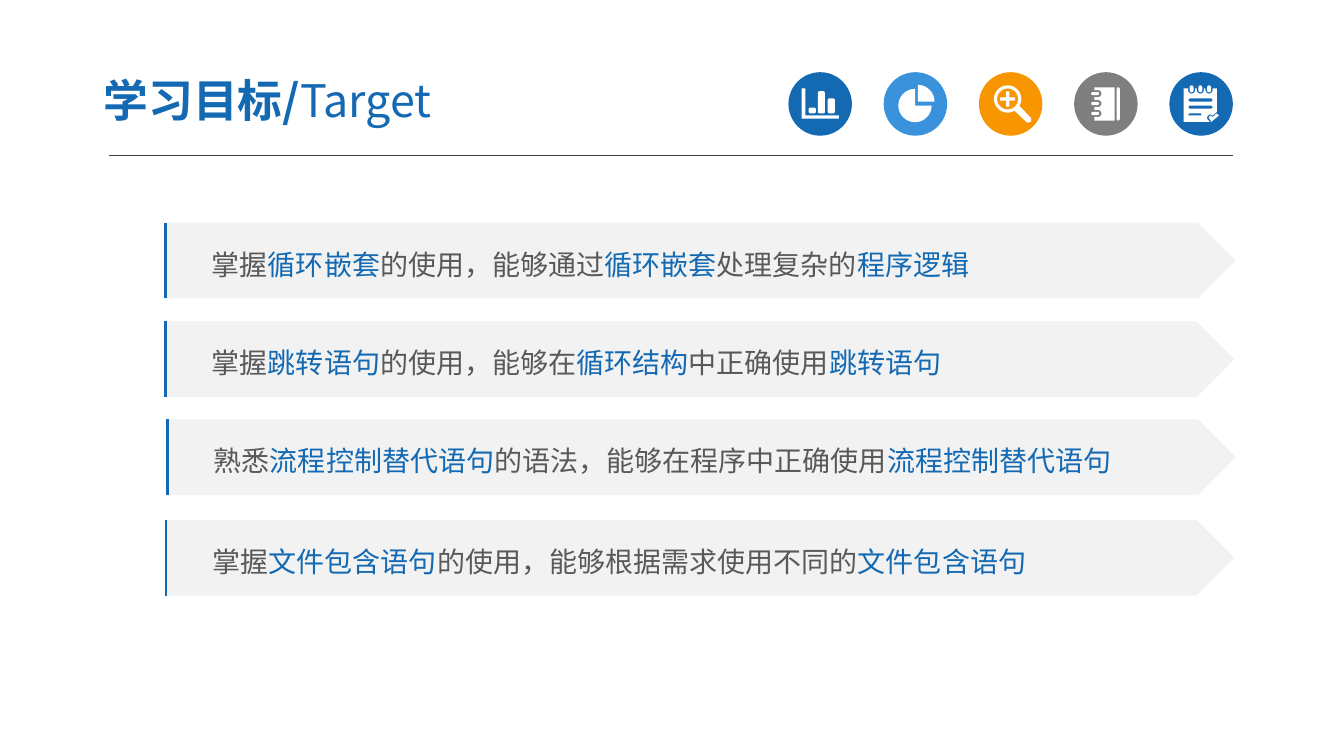
from math import cos, radians, sin

from pptx import Presentation
from pptx.dml.color import RGBColor
from pptx.enum.shapes import MSO_CONNECTOR, MSO_SHAPE
from pptx.enum.text import MSO_ANCHOR, PP_ALIGN
from pptx.oxml.ns import qn
from pptx.util import Cm, Pt

BLUE = RGBColor(0x13, 0x69, 0xB2)
SKY = RGBColor(0x39, 0x92, 0xDB)
ORANGE = RGBColor(0xF7, 0x96, 0x00)
GREY = RGBColor(0x7F, 0x7F, 0x7F)
COAL = RGBColor(0x40, 0x40, 0x40)
PALE = RGBColor(0xF2, 0xF2, 0xF2)
DARK = RGBColor(0x59, 0x59, 0x59)
WHITE = RGBColor(0xFF, 0xFF, 0xFF)

FONT = "Noto Sans CJK SC"
MIDDLE, LEFT = MSO_ANCHOR.MIDDLE, PP_ALIGN.LEFT
STRAIGHT = MSO_CONNECTOR.STRAIGHT
OVAL, ARROW = MSO_SHAPE.OVAL, MSO_SHAPE.PENTAGON

DISC, STEP = 1.6, 2.4

# left, top, width and text of each goal; every second part is stressed
GOALS = [
    (4.14, 5.61, 27, ["掌握", "循环嵌套", "的使用，能够通过", "循环嵌套", "处理复杂的", "程序逻辑"]),
    (4.14, 8.1, 26.97, ["掌握", "跳转语句", "的使用，能够在", "循环结构", "中正确使用", "跳转语句"]),
    (4.19, 10.57, 26.95, ["熟悉", "流程控制替代语句", "的语法，能够在程序中正确使用", "流程控制替代语句"]),
    (4.16, 13.1, 26.95, ["掌握", "文件包含语句", "的使用，能够根据需求使用不同的", "文件包含语句"]),
]


def paint(shape, color):
    """Give a shape a plain fill with neither line nor shadow."""
    shape.shadow.inherit = False
    shape.fill.solid()
    shape.fill.fore_color.rgb = color
    shape.line.fill.background()
    return shape


def add(slide, kind, x, y, w, h, color):
    return paint(slide.shapes.add_shape(kind, Cm(x), Cm(y), Cm(w), Cm(h)), color)


def rule(slide, x1, y1, x2, y2, color, width):
    line = slide.shapes.add_connector(STRAIGHT, Cm(x1), Cm(y1), Cm(x2), Cm(y2))
    line.line.color.rgb = color
    line.line.width = Pt(width)
    props = line._element.spPr
    props.append(props.makeelement(qn("a:effectLst"), {}))


def write(shape, runs, size, inset, spacing=1.0):
    """Fill a shape with one paragraph of (text, color, bold) runs."""
    frame = shape.text_frame
    frame.word_wrap = True
    frame.vertical_anchor = MIDDLE
    frame.margin_left = Cm(inset)
    para = frame.paragraphs[0]
    para.alignment = LEFT
    para.line_spacing = spacing
    for text, color, bold in runs:
        run = para.add_run()
        run.text = text
        font = run.font
        font.name, font.size, font.bold = FONT, Pt(size), bold
        font.color.rgb = color
        props = run._r.get_or_add_rPr()
        props.append(props.makeelement(qn("a:ea"), {"typeface": FONT}))


def arc(x, y, r, start, end, steps=12):
    """Return points on a circle, with degrees running clockwise from the right."""
    turns = [radians(start + (end - start) * i / steps) for i in range(steps + 1)]
    return [(x + r * cos(t), y + r * sin(t)) for t in turns]


def box(x, y, w, h, r=0.04):
    """Return the outline of a rounded box."""
    right, low = x + w - r, y + h - r
    mids = [(right, low), (x + r, low), (x + r, y + r), (right, y + r)]
    return [p for i, (a, b) in enumerate(mids) for p in arc(a, b, r, 90 * i, 90 * i + 90, 2)]


def chart():
    axes = [(0.33, 0.41), (0.43, 0.41), (0.43, 1.09), (1.27, 1.09), (1.27, 1.17), (0.33, 1.17)]
    bars = [(0.51, 0.89), (0.74, 0.48), (0.99, 0.66)]
    return [axes] + [box(x, y, 0.18, 1.04 - y) for x, y in bars]


def pie():
    return [[(0.79, 0.84)] + arc(0.79, 0.84, 0.42, 0, 270, 24),
            [(0.86, 0.74)] + arc(0.86, 0.74, 0.42, 270, 360)]


def lens():
    x, y, far, near = 0.725, 0.675, 0.19, 0.04
    plus = [(-far, -near), (-near, -near), (-near, -far), (near, -far),
            (near, -near), (far, -near), (far, near), (near, near),
            (near, far), (-near, far), (-near, near), (-far, near)]
    grip = [(1.02, 0.85), (1.32, 1.16), (1.31, 1.25), (1.21, 1.27), (0.9, 0.97)]
    return [arc(x, y, 0.345, 0, 360, 24), arc(x, y, 0.265, 0, 360, 24),
            [(x + a, y + b) for a, b in plus], grip]


def book():
    rings = [0.54 + 0.25 * i for i in range(3)]
    cover = [(1.02, 1.22), (1.02, 0.38), (0.51, 0.38)]
    for y in rings:
        cover += [(0.51, y - 0.09)] + arc(0.6, y, 0.09, -90, 90, 8) + [(0.51, y + 0.09)]
    cover.append((0.51, 1.22))
    return [cover, box(1.07, 0.38, 0.08, 0.84)] + [box(0.43, y - 0.04, 0.2, 0.08) for y in rings]


def notes():
    loops = [0.56 + 0.22 * i for i in range(3)]
    page = [(0.36, 1.25), (0.36, 0.41)]
    for x in loops:
        page += [(x - 0.09, 0.41)] + arc(x, 0.45, 0.09, 180, 0, 8) + [(x + 0.09, 0.41)]
    page += [(1.2, 0.41), (1.2, 1.0), (1.09, 1.09), (1.02, 1.06),
             (0.95, 1.12), (0.95, 1.18), (1.02, 1.25)]
    tick = [(0.99, 1.14), (1.04, 1.09), (1.09, 1.13), (1.19, 1.04), (1.25, 1.09), (1.06, 1.25)]
    lines = [box(0.48, 0.66, 0.61, 0.08), box(0.48, 0.84, 0.61, 0.08),
             box(0.48, 1.04, 0.33, 0.05, 0.02)]
    return [page, tick] + lines + [box(x - 0.05, 0.33, 0.1, 0.18, 0.05) for x in loops]


def icon(slide, x, y, paths, color):
    """Draw a disc with one white figure, whose inner outlines are holes."""
    add(slide, OVAL, x, y, DISC, DISC, color)
    spots = [[(Cm(x + a), Cm(y + b)) for a, b in points] for points in paths]
    pen = slide.shapes.build_freeform(*spots[0][0])
    for i, points in enumerate(spots):
        if i:
            pen.move_to(*points[0])
        pen.add_line_segments(points[1:], close=True)
    paint(pen.convert_to_shape(), WHITE)


def header(slide, x, y, w, h):
    title = slide.shapes.add_textbox(Cm(x), Cm(y), Cm(w), Cm(h))
    write(title, [("学习目标/", BLUE, True), ("Target", BLUE, False)], size=32, inset=0.33)
    rule(slide, x + 0.48, y + 2.33, 31.07, y + 2.33, COAL, 0.75)
    marks = [(chart, BLUE), (pie, SKY), (lens, ORANGE), (book, GREY), (notes, BLUE)]
    for i, (figure, color) in enumerate(marks):
        icon(slide, 19.87 + STEP * i, y + 0.22, figure(), color)


def goal(slide, x, y, w, h, parts):
    plate = add(slide, ARROW, x, y, w, h, PALE)
    runs = [(part, BLUE if i % 2 else DARK, False) for i, part in enumerate(parts)]
    write(plate, runs, size=20, inset=1.2, spacing=1.2)
    rule(slide, x + 0.03, y + h, x + 0.03, y, BLUE, 1.5)


def main():
    deck = Presentation()
    deck.slide_width, deck.slide_height = Cm(33.87), Cm(19.05)
    slide = deck.slides.add_slide(deck.slide_layouts[6])
    header(slide, 2.28, 1.6, 13.26, 1.83)
    for x, y, w, parts in GOALS:
        goal(slide, x, y, w, 1.91, parts)
    deck.save("out.pptx")


if __name__ == "__main__":
    main()
